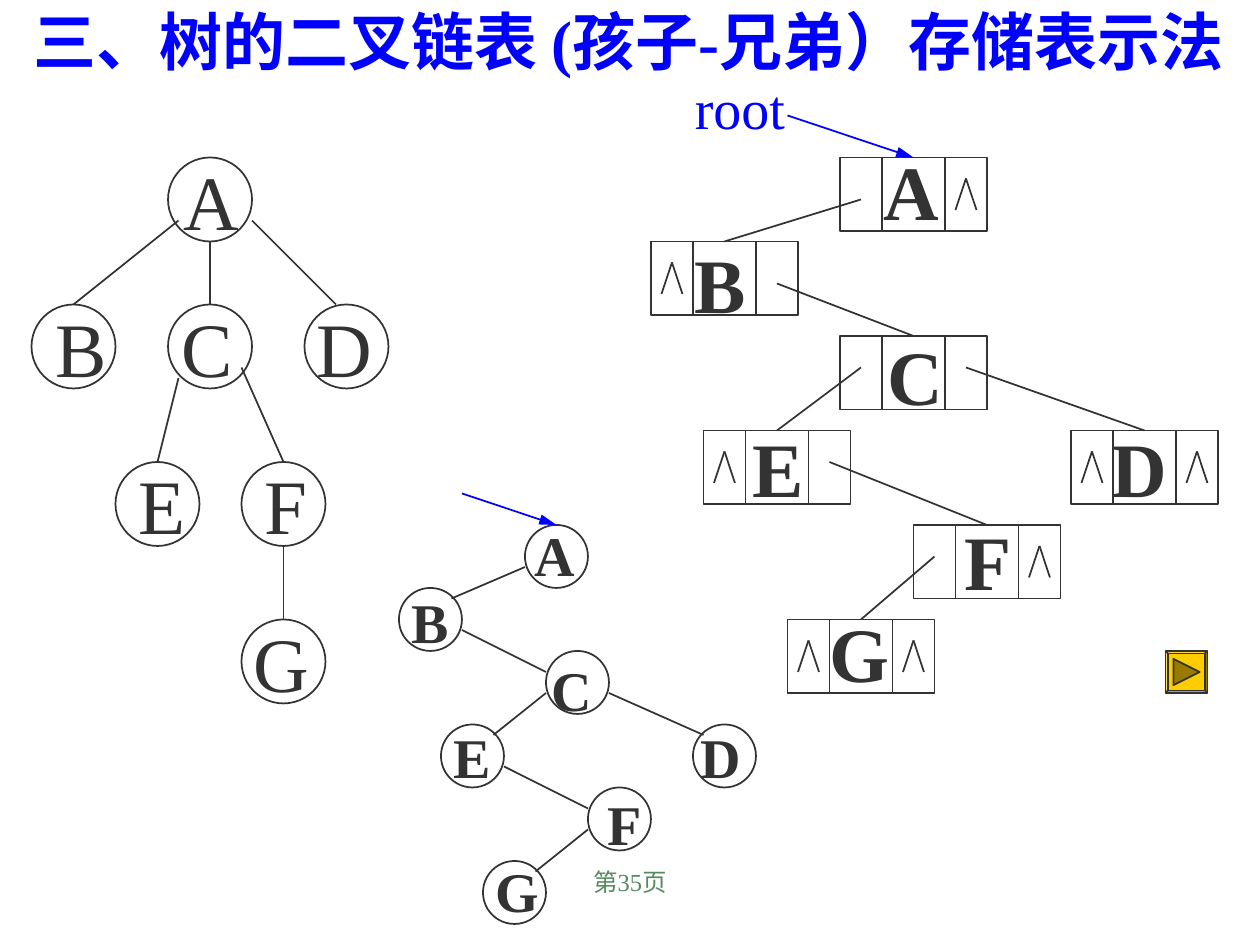
from typing import NamedTuple

from lxml import etree
from pptx import Presentation
from pptx.dml.color import RGBColor
from pptx.enum.shapes import MSO_CONNECTOR, MSO_SHAPE
from pptx.enum.text import MSO_ANCHOR, MSO_AUTO_SIZE, PP_ALIGN
from pptx.oxml.ns import qn
from pptx.util import Inches, Pt

STRAIGHT = MSO_CONNECTOR.STRAIGHT
OVAL, RECTANGLE = MSO_SHAPE.OVAL, MSO_SHAPE.RECTANGLE
BEVEL, TRIANGLE = MSO_SHAPE.BEVEL, MSO_SHAPE.ISOSCELES_TRIANGLE
TOP = MSO_ANCHOR.TOP
NO_AUTOSIZE = MSO_AUTO_SIZE.NONE
LEFT, CENTER = PP_ALIGN.LEFT, PP_ALIGN.CENTER

FONT = "Times New Roman"
INK, BLUE, GREEN = "333333", "0000FF", "578963"
GOLD, DARK_GOLD = "FFCC00", "997A00"
COLUMNS = 120
BIG_CIRCLE, SMALL_CIRCLE = 8, 6
RECORD_WIDTH, RECORD_HEIGHT = 14, 7
DIVIDERS = (4, 10)
LEFT_CELL, RIGHT_CELL = 2, 12


class Node(NamedTuple):
    letter: str
    column: float
    row: float
    label_column: float
    label_width: float


class Link(NamedTuple):
    start_column: float
    start_row: float
    end_column: float
    end_row: float


class Record(NamedTuple):
    column: float
    row: float
    empty_cells: tuple[int, ...]


class Line(NamedTuple):
    letters: str
    spaces: tuple[float, ...]


TREE_NODES = [
    Node("A", 16, 15, 16.3, 7.7), Node("B", 3, 29, 4.1, 7.3),
    Node("C", 16, 29, 16.1, 7.3), Node("D", 29, 29, 29, 7.7),
    Node("E", 11, 44, 12, 6.8), Node("F", 23, 44, 24, 6.5),
    Node("G", 23, 59, 23, 7.7),
]
TREE_LINKS = [
    Link(24, 21, 32, 29), Link(17, 21, 7, 29), Link(17, 36, 15, 44),
    Link(20, 23, 20, 29), Link(23, 35, 27, 44), Link(27, 52, 27, 59),
]
BINARY_CIRCLES = [(50, 50), (38, 56), (52, 62), (42, 69), (66, 69), (56, 75), (46, 82)]
BINARY_LINKS = [
    Link(50, 54, 43, 57), Link(44, 60, 52, 64), Link(52, 66, 47, 70),
    Link(58, 66, 67, 70), Link(48, 73, 56, 77), Link(56, 79, 51, 83),
]
RECORDS = [
    Record(80, 15, (RIGHT_CELL,)), Record(62, 23, (LEFT_CELL,)),
    Record(80, 32, ()), Record(67, 41, (LEFT_CELL,)),
    Record(102, 41, (LEFT_CELL, RIGHT_CELL)), Record(87, 50, (RIGHT_CELL,)),
    Record(75, 59, (LEFT_CELL, RIGHT_CELL)),
]
RECORD_LINKS = [
    Link(82, 19, 69, 23), Link(74, 27, 87, 32), Link(82, 35, 74, 41),
    Link(92, 35, 109, 41), Link(79, 44, 94, 50), Link(89, 53, 82, 59),
]
ROOT_ARROWS = [Link(75, 11, 87, 15), Link(44, 47, 53, 50)]
RECORD_LETTERS = [
    Line("A", (9.8,)), Line("B", (0,)), Line("C", (10,)),
    Line("\tE\tD", (3, 21.67)), Line("F", (14,)), Line("G", (7,)),
]
BINARY_LETTERS = [
    Line("A", (8.8,)), Line("B", (0,)), Line("C", (10,)),
    Line("\tE\tD", (3, 20.67)), Line("F", (14,)), Line("G", (6,)),
]

presentation = Presentation()
presentation.slide_width = Inches(10)
presentation.slide_height = Inches(7.5)
slide = presentation.slides.add_slide(presentation.slide_layouts[5])


def grid(cells: float) -> int:
    return round(presentation.slide_width * cells / COLUMNS)


def color(value: str) -> RGBColor:
    return RGBColor.from_string(value)


def add_line(link: Link, line_color: str = INK, arrow: bool = False) -> None:
    connector = slide.shapes.add_connector(STRAIGHT, *(grid(cells) for cells in link))
    connector.line.color.rgb = color(line_color)
    connector.line.width = Pt(1)
    if arrow:
        etree.SubElement(connector.line._get_or_add_ln(), qn("a:tailEnd"), type="triangle", len="lg")
    etree.SubElement(connector._element.spPr, qn("a:effectLst"))


def add_outline(kind: int, column: float, row: float, width: float, height: float, fill: str = ""):
    shape = slide.shapes.add_shape(kind, grid(column), grid(row), grid(width), grid(height))
    shape.shadow.inherit = False
    shape.line.color.rgb = color(INK)
    shape.line.width = Pt(1)
    if fill:
        shape.fill.solid()
        shape.fill.fore_color.rgb = color(fill)
    else:
        shape.fill.background()
    return shape


def format_paragraph(paragraph, size: float, text_color: str, bold: bool = False, alignment=LEFT) -> None:
    paragraph.alignment = alignment
    for run in paragraph.runs:
        run.font.name = FONT
        run.font.size = Pt(size)
        run.font.bold = bold
        run.font.color.rgb = color(text_color)


def add_text(column: float, row: float, width: float, height: float, wrap: bool = False):
    box = slide.shapes.add_textbox(grid(column), grid(row), grid(width), grid(height))
    box.text_frame.word_wrap = wrap
    return box.text_frame


def add_label(text: str, column: float, row: float, width: float, height: float,
              size: float, text_color: str, alignment=LEFT) -> None:
    text_frame = add_text(column, row, width, height)
    text_frame.text = text
    format_paragraph(text_frame.paragraphs[0], size, text_color, alignment=alignment)


def add_letters(lines: list[Line], column: float, row: float, width: float, height: float, size: float) -> None:
    text_frame = add_text(column, row, width, height, wrap=True)
    text_frame.text = "\n".join(line.letters for line in lines)
    space = size / 4
    for paragraph, line in zip(text_frame.paragraphs, lines):
        properties = paragraph._p.get_or_add_pPr()
        offsets = [Pt(count * space) for count in line.spaces]
        if len(offsets) == 1:
            properties.set("marL", str(offsets[0]))
            properties.set("indent", "0")
        else:
            tabs = etree.SubElement(properties, qn("a:tabLst"))
            for offset in offsets:
                etree.SubElement(tabs, qn("a:tab"), pos=str(offset), algn="l")
        format_paragraph(paragraph, size, INK, bold=True)


def add_record(record: Record) -> None:
    column, row, empty_cells = record
    add_outline(RECTANGLE, column, row, RECORD_WIDTH, RECORD_HEIGHT)
    for divider in DIVIDERS:
        add_line(Link(column + divider, row, column + divider, row + RECORD_HEIGHT))
    for cell in empty_cells:
        for side in (-1, 1):
            add_line(Link(column + cell, row + 2, column + cell + side, row + 5))


title = slide.shapes.title
title.left, title.top, title.width, title.height = grid(2), Inches(-0.03), grid(118), grid(15.6)
title.text_frame.text = "三、树的二叉链表 (孩子-兄弟）存储表示法"
title.text_frame.word_wrap = True
title.text_frame.auto_size = NO_AUTOSIZE
title.text_frame.vertical_anchor = TOP
format_paragraph(title.text_frame.paragraphs[0], 36, BLUE, bold=True)

for node in TREE_NODES:
    add_outline(OVAL, node.column, node.row, BIG_CIRCLE, BIG_CIRCLE)
    add_label(node.letter, node.label_column, node.row - 1, node.label_width, 10, 44, INK)
for circle_column, circle_row in BINARY_CIRCLES:
    add_outline(OVAL, circle_column, circle_row, SMALL_CIRCLE, SMALL_CIRCLE)
for record in RECORDS:
    add_record(record)
for link in TREE_LINKS + BINARY_LINKS + RECORD_LINKS:
    add_line(link)
for arrow in ROOT_ARROWS:
    add_line(arrow, BLUE, arrow=True)

add_letters(RECORD_LETTERS, 65, 13.1, 53, 54, 44)
add_letters(BINARY_LETTERS, 38, 49, 33.8, 39.6, 32)
add_label("root", 65, 6.4, 12, 7.7, 32, BLUE)
add_label("第35页", 41, 82, 38, 6, 14, GREEN, CENTER)

button = add_outline(BEVEL, 111, 62, 4, 4, GOLD)
button.adjustments[0] = 0.06
play_mark = add_outline(TRIANGLE, 111.75, 62.75, 2.5, 2.5, DARK_GOLD)
play_mark.rotation = 90

presentation.save("out.pptx")
